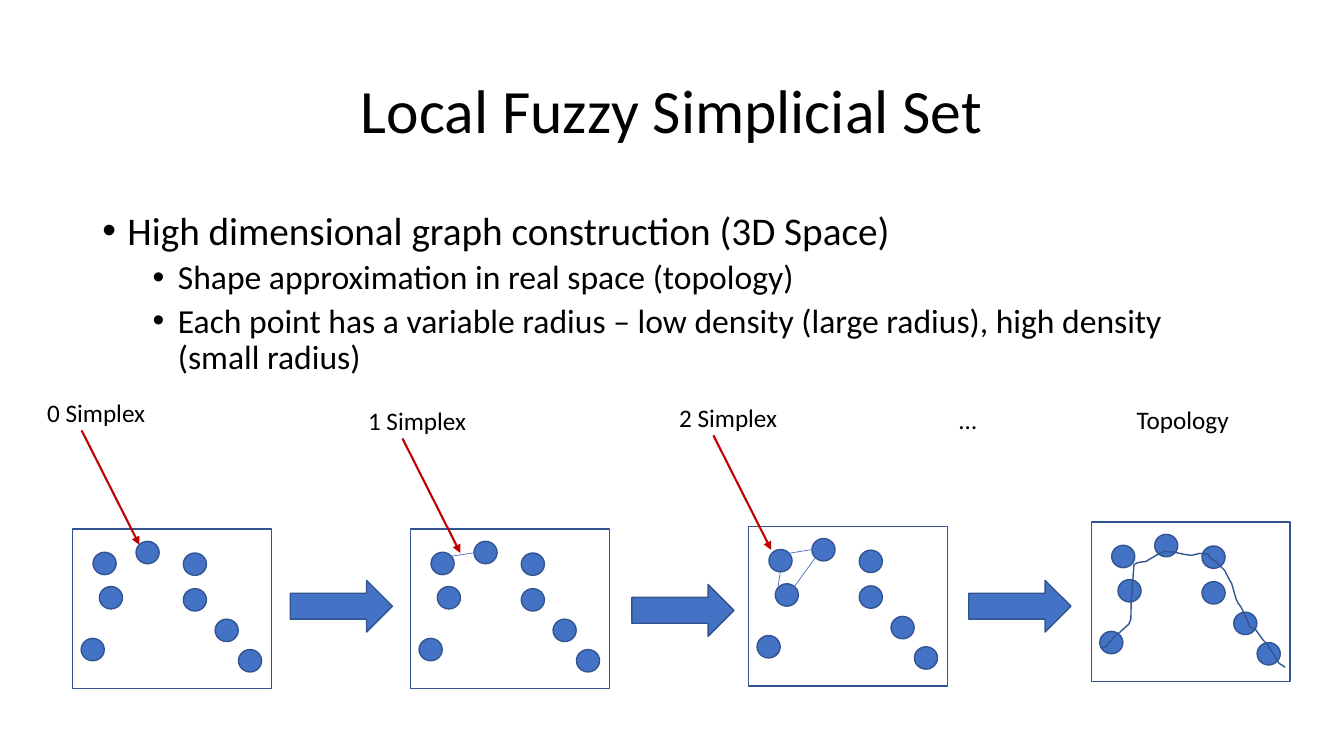
from lxml import etree
from pptx import Presentation
from pptx.dml.color import RGBColor
from pptx.enum import shapes, text
from pptx.oxml import ns
from pptx.util import Pt

BLUE = RGBColor(0x44, 0x72, 0xC4)
OUTLINE = RGBColor(0x32, 0x54, 0x91)
RED = RGBColor(0xC0, 0x00, 0x00)
BLACK = RGBColor(0, 0, 0)

deck = Presentation()
deck.slide_width, deck.slide_height = Pt(960), Pt(540)
page = deck.slides.add_slide(deck.slide_layouts[6])


def add_outlined(parent, kind, left, top, width, height, fill=None):
    shape = parent.add_shape(kind, Pt(left), Pt(top), Pt(width), Pt(height))
    shape.shadow.inherit = False
    if fill is None:
        shape.fill.background()
    else:
        shape.fill.solid()
        shape.fill.fore_color.rgb = fill
    shape.line.color.rgb = OUTLINE
    shape.line.width = Pt(1)


def add_line(start, end, color, width):
    line = page.shapes.add_connector(
        shapes.MSO_CONNECTOR.STRAIGHT, *(Pt(value) for value in start + end))
    line.line.color.rgb = color
    line.line.width = Pt(width)
    etree.SubElement(line._element.spPr, ns.qn("a:effectLst"))
    return line


title = page.shapes.add_textbox(Pt(66), Pt(28.75), Pt(828), Pt(104.4)).text_frame
title.word_wrap = True
title.vertical_anchor = text.MSO_ANCHOR.MIDDLE
para = title.paragraphs[0]
para.text = "Local Fuzzy Simplicial Set"
para.alignment = text.PP_ALIGN.CENTER
para.line_spacing = 0.9
para.font.name, para.font.size = "Calibri", Pt(44)
para.font.color.rgb = BLACK

body = page.shapes.add_textbox(Pt(66), Pt(147.6), Pt(828), Pt(342.6)).text_frame
body.word_wrap = True
bullets = [
    (0, "High dimensional graph construction (3D Space)", 28, 10, 18),
    (1, "Shape approximation in real space (topology)", 24, 5, 54),
    (1, "Each point has a variable radius – low density (large radius), "
        "high density (small radius)", 24, 5, 54),
]
for index, (level, words, size, before, margin) in enumerate(bullets):
    para = body.add_paragraph() if index else body.paragraphs[0]
    para.text = words
    para.level = level
    para.line_spacing = 0.9
    para.space_before = Pt(before)
    para.font.name, para.font.size = "Calibri", Pt(size)
    para.font.color.rgb = BLACK
    properties = para._p.get_or_add_pPr()
    properties.set("marL", str(Pt(margin)))
    properties.set("indent", str(-Pt(18)))
    font = etree.SubElement(properties, ns.qn("a:buFont"), typeface="Arial")
    bullet = etree.SubElement(properties, ns.qn("a:buChar"), char="•")
    properties.find(ns.qn("a:defRPr")).addprevious(font)
    font.addnext(bullet)

frames = [(52, 378), (293.4, 378), (534.8, 376), (779.6, 373)]
dots = [(79, 17), (19, 41), (45.2, 8.7), (6, 78),
        (14.5, 16.5), (118.4, 86), (101.7, 64.3), (79, 42.5)]
for left, top in frames:
    group = page.shapes.add_group_shape().shapes
    for across, down in dots:
        add_outlined(group, shapes.MSO_SHAPE.OVAL,
                     left + across, top + down, 16.5, 16, BLUE)
    add_outlined(group, shapes.MSO_SHAPE.RECTANGLE, left, top, 142, 114)

for left, top in [(207.3, 414.5), (451.3, 417.5), (692, 414.5)]:
    add_outlined(page.shapes, shapes.MSO_SHAPE.RIGHT_ARROW, left, top, 73, 37, BLUE)

edges = [
    ((321.8, 397.4), (339, 394.8)),
    ((563, 395.3), (580.3, 392.5)),
    ((555.8, 419), (557.3, 409)),
    ((567.4, 419), (582.5, 398.2)),
]
for start, end in edges:
    add_line(start, end, BLUE, 0.5)

for left, top in [(58.3, 307.4), (287.5, 313.2), (509.6, 311)]:
    pointer = add_line((left, top), (left + 41.3, top + 81.8), RED, 1.5)
    etree.SubElement(pointer.line._get_or_add_ln(), ns.qn("a:tailEnd"), type="triangle")

labels = [
    ("0 Simplex", 26.6, 280.3, 85.7),
    ("1 Simplex", 255.8, 286.2, 85.7),
    ("2 Simplex", 478, 284, 85.7),
    ("…", 678, 285.5, 27.4),
    ("Topology", 804.8, 285.3, 81.4),
]
for words, left, top, width in labels:
    label = page.shapes.add_textbox(Pt(left), Pt(top), Pt(width), Pt(29)).text_frame
    label.word_wrap = False
    label.auto_size = text.MSO_AUTO_SIZE.SHAPE_TO_FIT_TEXT
    para = label.paragraphs[0]
    para.text = words
    para.font.name, para.font.size = "Calibri", Pt(18)
    para.font.color.rgb = BLACK

curve_points = [
    (787, 463), (790.6, 461.5), (791.3, 459.4), (794.2, 457.2), (795.6, 455),
    (798.5, 452.9), (806.4, 445.7), (807.8, 442.1), (808, 429.8), (809.3, 412.6),
    (810, 403.2), (812.9, 401.8), (818.6, 401), (825.8, 396.7), (831.6, 393.8),
    (839.5, 394.6), (846, 396), (851, 396.7), (857, 395.3), (863.3, 396),
    (864, 398.2), (868.3, 401), (869.8, 402.5), (874.8, 407.5), (877.7, 413.3),
    (879.8, 416.9), (882.7, 427), (884.2, 430.6), (886.3, 433.4), (888.5, 437.8),
    (889.9, 440.6), (892.8, 447.8), (897.1, 450), (902.2, 457.2), (905, 460),
    (907.2, 463.7), (909.4, 466.6), (913.7, 473.8), (918, 476.6),
]
outline = [(Pt(across), Pt(down)) for across, down in curve_points]
builder = page.shapes.build_freeform(*outline[0])
builder.add_line_segments(outline[1:], close=False)
curve = builder.convert_to_shape()
curve.shadow.inherit = False
curve.fill.background()
curve.line.color.rgb = OUTLINE
curve.line.width = Pt(1)

deck.save("out.pptx")
